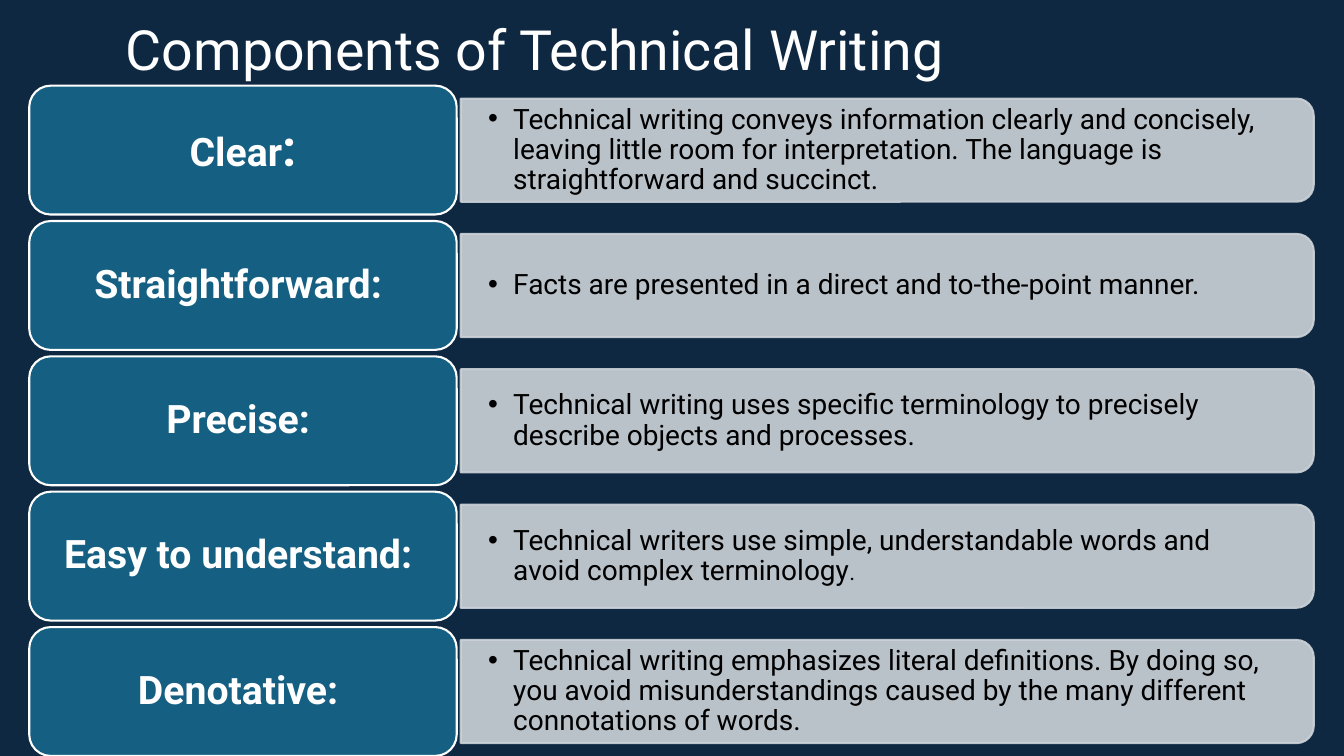
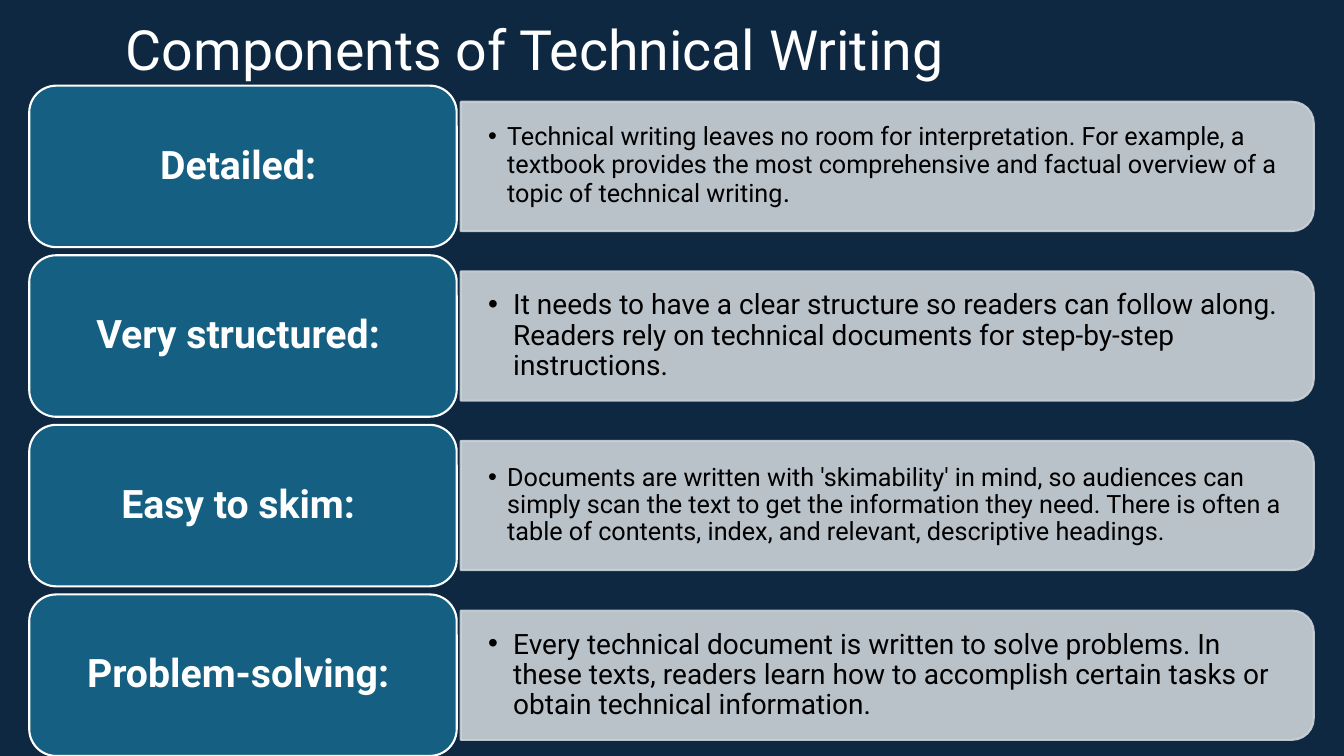
import pptx
import pptx.util
import pptx.dml.color
import pptx.enum.shapes
import pptx.enum.text
import pptx.oxml
import pptx.oxml.ns
from lxml import etree

Inches = pptx.util.Inches
RGBColor = pptx.dml.color.RGBColor
SHAPE = pptx.enum.shapes.MSO_SHAPE
ALIGN = pptx.enum.text.PP_ALIGN
qn = pptx.oxml.ns.qn

NAVY = RGBColor(0x0E, 0x28, 0x41)
TEAL = RGBColor(0x15, 0x60, 0x82)
SILVER = RGBColor(0xCC, 0xD2, 0xD8)
WHITE = RGBColor(0xFF, 0xFF, 0xFF)
BLACK = RGBColor(0x00, 0x00, 0x00)
FONT = "Roboto"

TITLE = "Components of Technical Writing"
SLIDES = [
    [
        ([("Clear", 28), (":", 36)],
         [("Technical writing conveys information clearly and concisely, leaving little room for "
           "interpretation. The language is straightforward and succinct.", 20)]),
        ([("Straightforward: ", 28)],
         [("Facts are presented in a direct and to-the-point manner.", 20)]),
        ([("Precise: ", 28)],
         [("Technical writing uses specific terminology to precisely describe objects and "
           "processes.", 20)]),
        ([("Easy to understand: ", 28)],
         [("Technical writers use simple, understandable words and avoid complex terminology", 20),
          (".", 16)]),
        ([("Denotative: ", 28)],
         [("Technical writing emphasizes literal definitions. By doing so, you avoid "
           "misunderstandings caused by the many different connotations of words.", 20)]),
    ],
    [
        ([("Detailed: ", 28)],
         [("Technical writing leaves no room for interpretation. For example, a textbook provides "
           "the most comprehensive and factual overview of a topic of technical writing", 18),
          (".", 20)]),
        ([("Very structured: ", 28)],
         [("It needs to have a clear structure so readers can follow along. Readers rely on "
           "technical documents for step-by-step instructions.", 20)]),
        ([("Easy to skim: ", 28)],
         [("Documents are written with 'skimability' in mind, so audiences can simply scan the "
           "text to get the information they need. There is often a table of contents, index, and "
           "relevant, descriptive headings.", 18)]),
        ([("Problem-solving: ", 28)],
         [("Every technical document is written to solve problems. In these texts, readers learn "
           "how to accomplish certain tasks or obtain technical information. ", 20)]),
    ],
]

TOP, BOTTOM = 0.85, 7.5
LABEL_LEFT, LABEL_WIDTH = 0.29, 4.24
PANEL_LEFT, PANEL_WIDTH = 4.57, 8.46
GAP_RATIO, PANEL_RATIO = 0.05, 0.8
BULLET_INDENT = {20: 0.25, 18: 0.19}


def write(s, runs, color, margins, bold=False, align=ALIGN.LEFT, indent=None):
    tf = s.text_frame
    tf.word_wrap = True
    tf.vertical_anchor = pptx.enum.text.MSO_ANCHOR.MIDDLE
    tf.margin_left = tf.margin_right = Inches(margins[0])
    tf.margin_top = tf.margin_bottom = Inches(margins[1])
    p = tf.paragraphs[0]
    p.alignment = align
    p.line_spacing = 0.9
    if indent:
        pPr = p._p.get_or_add_pPr()
        pPr.set("marL", str(Inches(indent)))
        pPr.set("indent", str(-Inches(indent)))
        etree.SubElement(pPr, qn("a:buFont")).set("typeface", "Arial")
        etree.SubElement(pPr, qn("a:buChar")).set("char", "•")
    for text, size in runs:
        r = p.add_run()
        r.text = text
        r.font.name = FONT
        r.font.size = pptx.util.Pt(size)
        r.font.bold = bold
        r.font.color.rgb = color


def add_box(slide, kind, box, fill, line):
    s = slide.shapes.add_shape(kind, *map(Inches, box))
    s.shadow.inherit = False
    s.fill.solid()
    s.fill.fore_color.rgb = fill
    s.line.color.rgb = line
    s.line.width = pptx.util.Pt(1.5)
    return s


def add_panel(slide, middle, height, runs):
    center = PANEL_LEFT + PANEL_WIDTH / 2
    box = (center - height / 2, middle - PANEL_WIDTH / 2, height, PANEL_WIDTH)
    s = add_box(slide, SHAPE.ROUND_2_SAME_RECTANGLE, box, SILVER, SILVER)
    s.rotation = 90
    for clr in s._element.spPr.iter(qn("a:srgbClr")):
        etree.SubElement(clr, qn("a:alpha")).set("val", "90000")
    text_box = (PANEL_LEFT, middle - height / 2, PANEL_WIDTH - 0.05, height)
    tb = slide.shapes.add_textbox(*map(Inches, text_box))
    write(tb, runs, BLACK, (0.27, 0.14), indent=BULLET_INDENT[runs[0][1]])


def add_label(slide, top, height, runs):
    box = (LABEL_LEFT, top, LABEL_WIDTH, height)
    s = add_box(slide, SHAPE.ROUNDED_RECTANGLE, box, TEAL, WHITE)
    write(s, runs, WHITE, (0.18, 0.12), bold=True, align=ALIGN.CENTER)


def build_slide(prs, rows):
    slide = prs.slides.add_slide(prs.slide_layouts[6])
    title = slide.shapes.add_textbox(*map(Inches, (1.15, 0.2, 11.5, 0.65)))
    write(title, [(TITLE, 39.6)], WHITE, (0.1, 0.05))
    height = (BOTTOM - TOP) / (len(rows) + GAP_RATIO * (len(rows) - 1))
    for i, (label, description) in enumerate(rows):
        top = TOP + i * height * (1 + GAP_RATIO)
        add_panel(slide, top + height / 2, height * PANEL_RATIO, description)
        add_label(slide, top, height, label)


def main():
    prs = pptx.Presentation()
    prs.slide_width, prs.slide_height = Inches(13.33), Inches(7.5)
    background = prs.slide_master.background.fill
    background.solid()
    background.fore_color.rgb = NAVY
    for rows in SLIDES:
        build_slide(prs, rows)
    prs.save("out.pptx")


if __name__ == "__main__":
    main()
